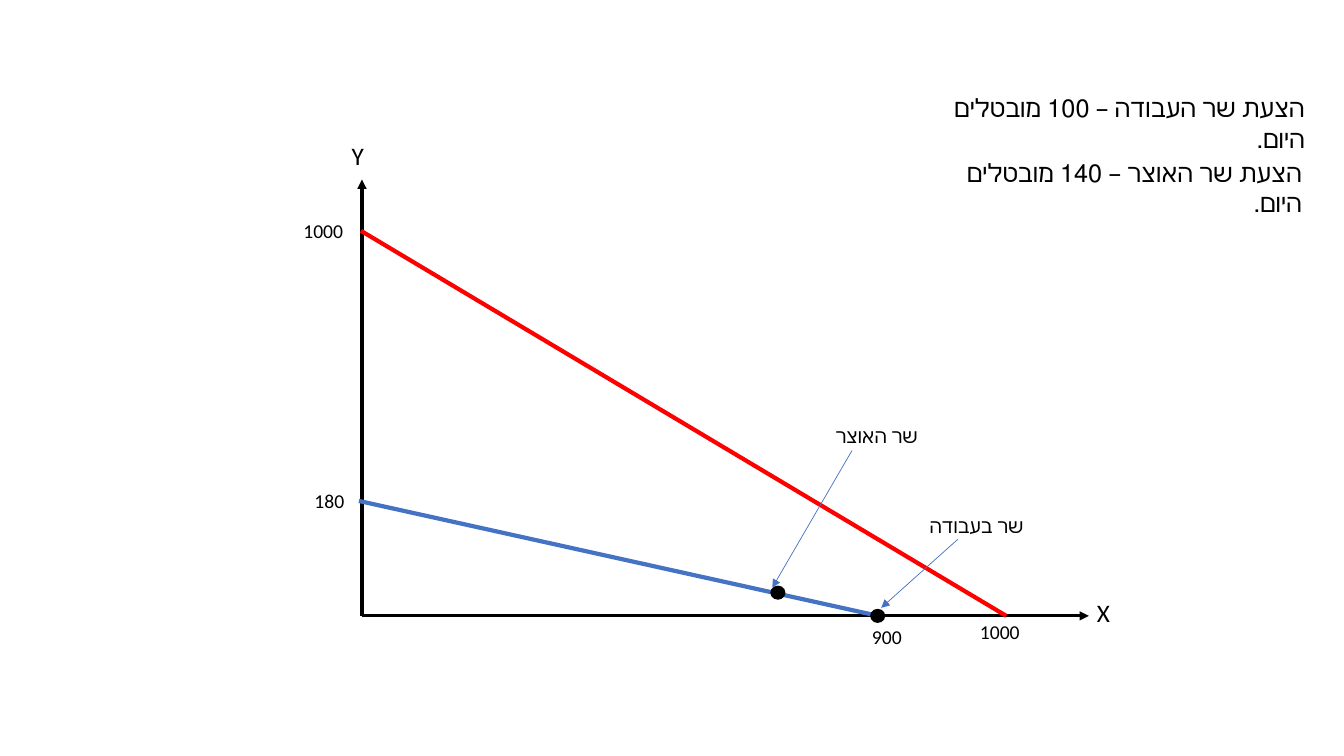
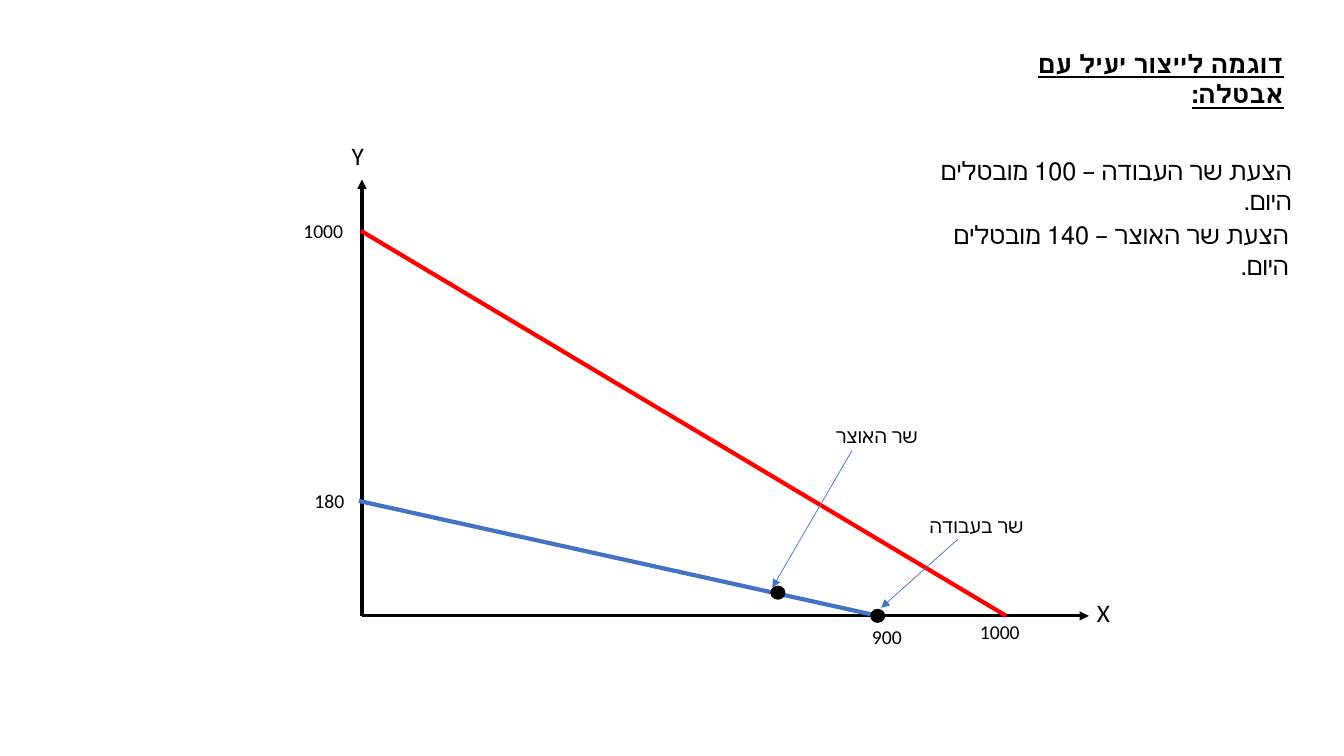
"""Draw two slides of an output frontier with unemployment."""
from typing import Any, NamedTuple

import pptx
import pptx.dml.color
import pptx.enum.shapes
import pptx.enum.text
import pptx.oxml
import pptx.oxml.ns
import pptx.util

PX = 9144
WIDTH, HEIGHT = 1333, 750
FONT = "Calibri"
BLACK, BLUE, RED = "000000", "4472C4", "FF0000"
LEFT, BASE = 359, 611


class Line(NamedTuple):
    """A straight line, with an arrowhead at its end if asked."""
    x1: int
    y1: int
    x2: int
    y2: int
    color: str
    weight: float
    arrow: bool = False


class Label(NamedTuple):
    """A line of text and the box that holds it."""
    words: str
    x: int
    y: int
    w: int
    h: int = 34
    size: int = 14
    rtl: bool = False


class Dot(NamedTuple):
    """A marked point, placed by its top left corner."""
    x: int
    y: int
    w: int = 15
    h: int = 14


AXES = [
    Line(LEFT, BASE, LEFT, 178, BLACK, 2.25, True),
    Line(LEFT, BASE, 1080, BASE, BLACK, 2.25, True),
]
CURVES = [
    Line(356, 497, 871, BASE, BLUE, 3),
    Line(358, 229, 998, BASE, RED, 3),
]
LABELS = [
    Label("180", 302, 480, 51),
    Label("900", 855, 615, 51),
    Label("1000", 291, 212, 68),
    Label("1000", 962, 610, 61),
    Label("Y", 339, 134, 40, 44, 18),
    Label("X", 1078, 588, 40, 44, 18),
    Label("שר בעבודה", 896, 505, 129, rtl=True),
    Label("שר האוצר", 791, 416, 129, rtl=True),
]
DOTS = [Dot(863, 604), Dot(764, 581)]
HINTS = [
    Line(950, 535, 874, 603, BLUE, 0.5, True),
    Line(845, 447, 766, 583, BLUE, 0.5, True),
]
NOTES = [
    Label("הצעת שר העבודה – 100 מובטלים היום.", 891, 87, 413, 40, 18, True),
    Label("הצעת שר האוצר – 140 מובטלים היום.", 904, 151, 397, 40, 18, True),
]
TITLE = Label("דוגמה לייצור יעיל עם אבטלה:", 962, 43, 321, 40, 18, True)


def px(*sizes: int) -> list[int]:
    """Turn px into EMU."""
    return [size * PX for size in sizes]


def paint(code: str) -> pptx.dml.color.RGBColor:
    """Turn a hex string into a colour."""
    return pptx.dml.color.RGBColor.from_string(code)


def add_line(shapes: Any, line: Line) -> None:
    """Draw a straight line."""
    kind = pptx.enum.shapes.MSO_CONNECTOR.STRAIGHT
    link = shapes.add_connector(kind, *px(line.x1, line.y1, line.x2, line.y2))
    link.line.color.rgb = paint(line.color)
    link.line.width = pptx.util.Pt(line.weight)
    props = link.element.spPr
    if line.arrow:
        stroke = props.find(pptx.oxml.ns.qn("a:ln"))
        head = pptx.oxml.parse_xml(
            f'<a:tailEnd {pptx.oxml.ns.nsdecls("a")} type="triangle"/>')
        stroke.append(head)
    props.append(pptx.oxml.parse_xml(
        f'<a:effectLst {pptx.oxml.ns.nsdecls("a")}/>'))


def add_text(shapes: Any, label: Label, *, dx: int = 0, dy: int = 0,
             bold: bool = False, under: bool = False) -> None:
    """Write a label, moved by dx and dy."""
    box = shapes.add_textbox(
        *px(label.x + dx, label.y + dy, label.w, label.h))
    frame = box.text_frame
    frame.word_wrap = True
    frame.auto_size = pptx.enum.text.MSO_AUTO_SIZE.SHAPE_TO_FIT_TEXT
    para = frame.paragraphs[0]
    if label.rtl:
        para.alignment = pptx.enum.text.PP_ALIGN.RIGHT
        para._p.get_or_add_pPr().set("rtl", "1")
    run = para.add_run()
    run.text = label.words
    run.font.name = FONT
    run.font.size = pptx.util.Pt(label.size)
    run.font.color.rgb = paint(BLACK)
    if bold:
        run.font.bold = True
    if under:
        run.font.underline = True


def add_dot(shapes: Any, dot: Dot) -> None:
    """Mark a point on the graph."""
    shape = shapes.add_shape(pptx.enum.shapes.MSO_SHAPE.OVAL, *px(*dot))
    shape.shadow.inherit = False
    shape.fill.solid()
    shape.fill.fore_color.rgb = paint(BLACK)
    shape.line.fill.background()


def add_graph(shapes: Any) -> None:
    """Draw the graph that the slides share."""
    group = shapes.add_group_shape()
    for axis in AXES:
        add_line(group.shapes, axis)
    for curve in CURVES:
        add_line(shapes, curve)
    for label in LABELS:
        add_text(shapes, label)
    for dot in DOTS:
        add_dot(shapes, dot)
    for hint in HINTS:
        add_line(shapes, hint)


def add_slide(deck: Any, dx: int = 0, dy: int = 0) -> Any:
    """Add a slide with the graph and its notes, moved by dx and dy."""
    shapes = deck.slides.add_slide(deck.slide_layouts[6]).shapes
    add_graph(shapes)
    for note in NOTES:
        add_text(shapes, note, dx=dx, dy=dy)
    return shapes


def main() -> None:
    """Build and save the slides."""
    deck = pptx.Presentation()
    deck.slide_width, deck.slide_height = px(WIDTH, HEIGHT)
    add_slide(deck)
    shapes = add_slide(deck, dx=-13, dy=62)
    add_text(shapes, TITLE, bold=True, under=True)
    deck.save("out.pptx")


if __name__ == "__main__":
    main()
